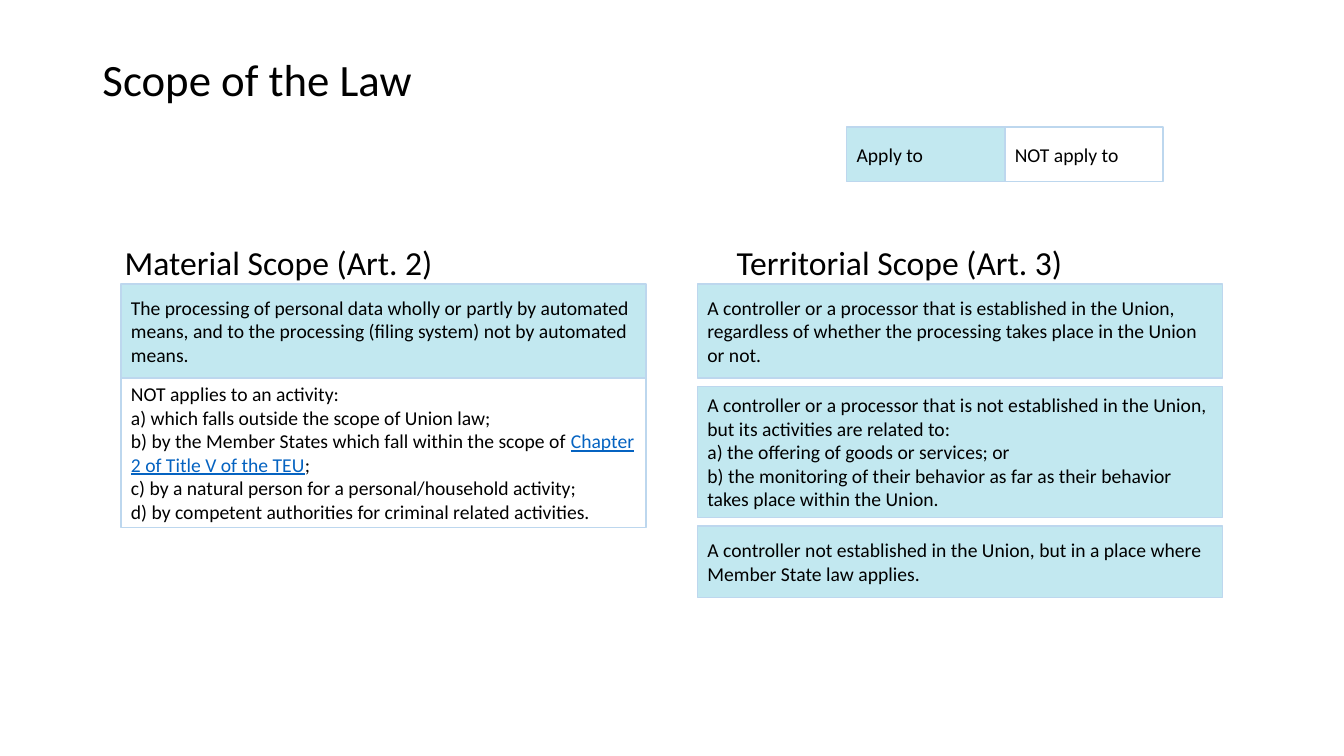
import pptx
import pptx.util
import pptx.dml.color
import pptx.enum.shapes
import pptx.enum.text
import pptx.oxml
import pptx.oxml.ns
from dataclasses import dataclass

Pt = pptx.util.Pt
RGB = pptx.dml.color.RGBColor.from_string
ANCHOR = pptx.enum.text.MSO_ANCHOR
LEFT = pptx.enum.text.PP_ALIGN.LEFT


@dataclass(frozen=True)
class Theme:
    font: str = "Calibri"
    text: str = "000000"
    link: str = "0563C1"
    border: str = "BDD7EE"
    applies: str = "009FC2"
    excluded: str = "FFFFFF"
    opacity: int = 24
    title_size: int = 32
    heading_size: int = 24
    body_size: int = 14


THEME = Theme()

MATERIAL = [
    (THEME.applies, 67, [
        "The processing of personal data wholly or partly by automated means, "
        "and to the processing (filing system) not by automated means.",
    ]),
    (THEME.excluded, 106.6, [
        "NOT applies to an activity:",
        "a) which falls outside the scope of Union law;",
        ("b) by the Member States which fall within the scope of ",
         "Chapter 2 of Title V of the TEU", ";"),
        "c) by a natural person for a personal/household activity;",
        "d) by competent authorities for criminal related activities.",
    ]),
]
TERRITORIAL = [
    (THEME.applies, 67, [
        "A controller or a processor that is established in the Union, regardless "
        "of whether the processing takes place in the Union or not.",
    ]),
    (THEME.applies, 93.6, [
        "A controller or a processor that is not established in the Union, "
        "but its activities are related to:",
        "a) the offering of goods or services; or",
        "b) the monitoring of their behavior as far as their behavior "
        "takes place within the Union.",
    ]),
    (THEME.applies, 51.1, [
        "A controller not established in the Union, but in a place where "
        "Member State law applies.",
    ]),
]


def style(p, size):
    p.alignment = LEFT
    p.font.name = THEME.font
    p.font.size = Pt(size)
    p.font.color.rgb = RGB(THEME.text)


def fill_lines(tf, lines, size):
    """Write one paragraph per line; a tuple is (before, linked words, after)."""
    for i, line in enumerate(lines):
        p = tf.paragraphs[0] if i == 0 else tf.add_paragraph()
        style(p, size)
        if isinstance(line, str):
            p.add_run().text = line
            continue
        for j, part in enumerate(line):
            r = p.add_run()
            r.text = part
            if j == 1:
                r.font.underline = True
                r.font.color.rgb = RGB(THEME.link)


def add_title(s, x, y, w, h, text):
    sp = s.shapes.title
    sp.left, sp.top, sp.width, sp.height = Pt(x), Pt(y), Pt(w), Pt(h)
    tf = sp.text_frame
    tf.auto_size = pptx.enum.text.MSO_AUTO_SIZE.NONE
    tf.vertical_anchor = ANCHOR.MIDDLE
    fill_lines(tf, [text], THEME.title_size)
    tf.paragraphs[0].line_spacing = 0.9


def add_heading(s, x, y, w, h, text):
    tf = s.shapes.add_textbox(Pt(x), Pt(y), Pt(w), Pt(h)).text_frame
    tf.word_wrap = True
    fill_lines(tf, [text], THEME.heading_size)


def add_box(s, x, y, w, h, color, lines):
    sp = s.shapes.add_shape(pptx.enum.shapes.MSO_SHAPE.RECTANGLE,
                            Pt(x), Pt(y), Pt(w), Pt(h))
    sp.shadow.inherit = False
    sp.fill.solid()
    sp.fill.fore_color.rgb = RGB(color)
    srgb = sp.fill._xPr.find(".//" + pptx.oxml.ns.qn("a:srgbClr"))
    alpha = pptx.oxml.parse_xml(
        f'<a:alpha {pptx.oxml.ns.nsdecls("a")} val="{THEME.opacity * 1000}"/>')
    srgb.append(alpha)
    sp.line.color.rgb = RGB(THEME.border)
    sp.line.width = Pt(1)
    tf = sp.text_frame
    tf.word_wrap = True
    tf.vertical_anchor = ANCHOR.MIDDLE
    fill_lines(tf, lines, THEME.body_size)


def add_legend(s, x, y, w, h):
    half = w / 2
    add_box(s, x + half, y, half, h, THEME.excluded, ["NOT apply to"])
    add_box(s, x, y, half, h, THEME.applies, ["Apply to"])


def add_scope(s, x, y, w, heading, indent, rules, gap):
    """Place a heading, shifted by indent, over a stack of rule boxes."""
    add_heading(s, x + indent, y, w - indent, 36, heading)
    top = y + 34
    for color, h, lines in rules:
        add_box(s, x, top, w, h, color, lines)
        top += h + gap


def main():
    prs = pptx.Presentation()
    prs.slide_width, prs.slide_height = Pt(960), Pt(540)
    s = prs.slides.add_slide(prs.slide_layouts[5])
    add_title(s, 66, 28.8, 828, 60, "Scope of the Law")
    add_legend(s, 604.8, 90.7, 226, 39)
    add_scope(s, 86.4, 169, 375, "Material Scope (Art. 2)", -4.4, MATERIAL, 0)
    add_scope(s, 498.2, 169, 375, "Territorial Scope (Art. 3)", 21, TERRITORIAL, 6)
    prs.save("out.pptx")


if __name__ == "__main__":
    main()
